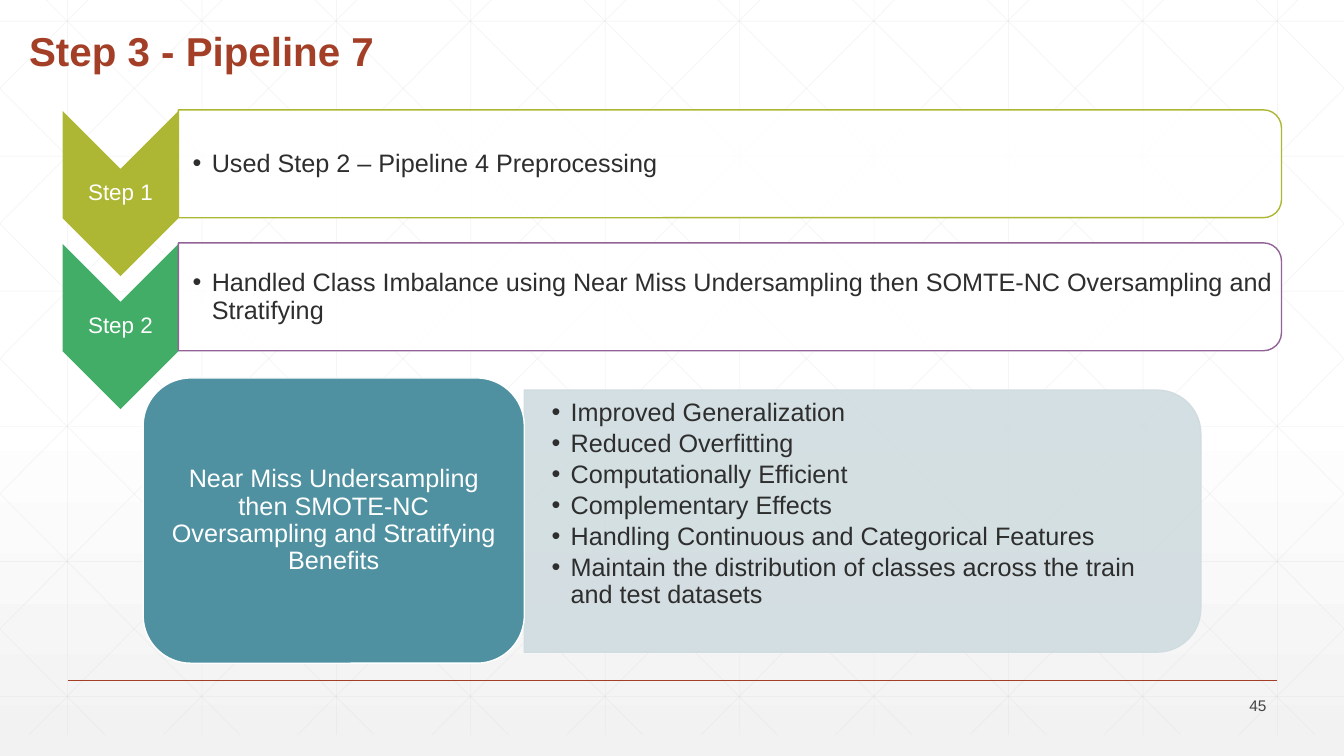
from dataclasses import dataclass
from typing import Any, NamedTuple, Optional

from lxml.etree import SubElement
from pptx import Presentation
from pptx.dml.color import RGBColor
from pptx.enum.shapes import MSO_CONNECTOR as Connector, MSO_SHAPE as Preset
from pptx.enum.text import MSO_ANCHOR as Anchor, PP_ALIGN as Align
from pptx.oxml.ns import qn
from pptx.util import Inches, Pt

WIDTH, HEIGHT = 13.33, 7.5
RUST, WHITE, INK, GREY = "A43F27", "FFFFFF", "2D2E2D", "424342"
MIST, TEAL, LATTICE = "D0DCE0", "4F91A1", "D9D9D9"


class Box(NamedTuple):
    left: float
    top: float
    width: float
    height: float


@dataclass
class TextStyle:
    size: float
    color: str
    align: Any = Align.LEFT
    anchor: Any = Anchor.MIDDLE
    insets: tuple[float, float] = (0.1, 0.05)
    line_spacing: float = 0.9
    space_after: float = 0
    bold: bool = False
    bullet: bool = False


@dataclass
class Step:
    label: str
    detail: str
    chevron: str
    outline: str


STEPS = [
    Step("Step 1", "Used Step 2 – Pipeline 4 Preprocessing", "AEB733", "AEB733"),
    Step("Step 2", "Handled Class Imbalance using Near Miss Undersampling then "
         "SOMTE-NC Oversampling and Stratifying", "42AD67", "926397"),
]
BENEFITS = [
    "Improved Generalization",
    "Reduced Overfitting",
    "Computationally Efficient",
    "Complementary Effects",
    "Handling Continuous and Categorical Features",
    "Maintain the distribution of classes across the train and test datasets",
]

TITLE = TextStyle(28.8, RUST, anchor=Anchor.BOTTOM, bold=True)
STEP_LABEL = TextStyle(16, WHITE, Align.CENTER, insets=(0.05, 0.03))
STEP_DETAIL = TextStyle(18, INK, insets=(0.14, 0.01), bullet=True)
BENEFIT_LIST = TextStyle(18, INK, insets=(0.27, 0.14), space_after=2.7, bullet=True)
BENEFIT_HEAD = TextStyle(18, WHITE, Align.CENTER, insets=(0.07, 0.04))
PAGE_NUMBER = TextStyle(11, GREY, Align.RIGHT, line_spacing=1)


def rgb(color: str) -> RGBColor:
    return RGBColor.from_string(color)


def apply(target: Any, values: dict[str, Any]) -> None:
    for name, value in values.items():
        setattr(target, name, value)


def set_opacity(element: Any, percent: int) -> None:
    for color in element.iter(qn("a:srgbClr")):
        SubElement(color, qn("a:alpha"), val=str(percent * 1000))


def write(frame: Any, lines: list[str], style: TextStyle,
          right: Optional[float] = None) -> None:
    side, edge = style.insets
    apply(frame, {
        "word_wrap": True, "vertical_anchor": style.anchor,
        "margin_left": Inches(side),
        "margin_right": Inches(side if right is None else right),
        "margin_top": Inches(edge), "margin_bottom": Inches(edge),
    })
    for index, line in enumerate(lines):
        paragraph = frame.add_paragraph() if index else frame.paragraphs[0]
        if style.bullet:
            properties = paragraph._p.get_or_add_pPr()
            apply_indent = {"marL": Inches(0.19), "indent": -Inches(0.19)}
            for name, value in apply_indent.items():
                properties.set(name, str(value))
            SubElement(properties, qn("a:buFont"), typeface="Arial")
            SubElement(properties, qn("a:buChar"), char="•")
        apply(paragraph, {"alignment": style.align, "line_spacing": style.line_spacing,
                          "space_after": Pt(style.space_after)})
        run = paragraph.add_run()
        run.text = line
        apply(run.font, {"name": "Arial", "size": Pt(style.size), "bold": style.bold})
        run.font.color.rgb = rgb(style.color)


def add_text(slide: Any, box: Box, lines: list[str], style: TextStyle,
             right: Optional[float] = None) -> None:
    frame = slide.shapes.add_textbox(*map(Inches, box)).text_frame
    write(frame, lines, style, right)


def add_block(slide: Any, preset: Any, box: Box, fill: str,
              outline: Optional[str] = None, opacity: int = 100) -> Any:
    block = slide.shapes.add_shape(preset, *map(Inches, box))
    block.shadow.inherit = False
    block.fill.solid()
    block.fill.fore_color.rgb = rgb(fill)
    if opacity < 100:
        set_opacity(block._element.spPr.find(qn("a:solidFill")), opacity)
    if outline:
        block.line.color.rgb = rgb(outline)
        block.line.width = Pt(1)
    else:
        block.line.fill.background()
    return block


def add_turned_block(slide: Any, preset: Any, box: Box, *look: Any) -> None:
    """Fill the given box with a preset turned a quarter clockwise."""
    shift = (box.width - box.height) / 2
    upright = Box(box.left + shift, box.top - shift, box.height, box.width)
    add_block(slide, preset, upright, *look).rotation = 90


def add_line(slide: Any, x1: float, y1: float, x2: float, y2: float,
             color: str, width: float, opacity: int = 100) -> None:
    line = slide.shapes.add_connector(Connector.STRAIGHT, *map(Inches, (x1, y1, x2, y2)))
    line.line.color.rgb = rgb(color)
    line.line.width = Pt(width)
    if opacity < 100:
        set_opacity(line._element.spPr, opacity)
    SubElement(line._element.spPr, qn("a:effectLst"))


def add_lattice(slide: Any) -> None:
    top, bottom, run = -0.21, 7.29, 7.46
    pitch = 4 / 3
    slope = (bottom - top) / run
    look = (LATTICE, 0.5, 25)
    for column in range(10):
        x = 0.67 + column * pitch
        add_line(slide, x, top, x, bottom, *look)
    for row in range(6):
        y = 0.21 + row * 1.34
        add_line(slide, 0, y, WIDTH, y, *look)
    # Diagonals are cut at the slide sides, then mirrored
    for column in range(-5, 10):
        start = 0.25 + column * pitch
        x1, x2 = max(start, 0), min(start + run, WIDTH)
        y1, y2 = (top + (x - start) * slope for x in (x1, x2))
        add_line(slide, x1, y1, x2, y2, *look)
        add_line(slide, WIDTH - x1, y1, WIDTH - x2, y2, *look)


def add_step(slide: Any, step: Step, top: float) -> None:
    add_turned_block(slide, Preset.CHEVRON, Box(0.62, top, 1.15, 1.64), step.chevron)
    add_text(slide, Box(0.62, top + 0.57, 1.15, 0.49), [step.label], STEP_LABEL)
    add_turned_block(slide, Preset.ROUND_2_SAME_RECTANGLE,
                     Box(1.77, top - 0.01, 10.94, 1.07), WHITE, step.outline, 90)
    add_text(slide, Box(1.77, top + 0.05, 10.89, 0.96), [step.detail], STEP_DETAIL, 0.01)


def main() -> None:
    presentation = Presentation()
    apply(presentation, {"slide_width": Inches(WIDTH), "slide_height": Inches(HEIGHT)})
    slide = presentation.slides.add_slide(presentation.slide_layouts[6])

    # Backdrop
    backdrop = slide.background.fill
    backdrop.gradient()
    backdrop.gradient_angle = 270
    for stop, position, color in zip(backdrop.gradient_stops, (0.53, 1), (WHITE, "F2F2F2")):
        stop.position = position
        stop.color.rgb = rgb(color)
    add_lattice(slide)
    add_line(slide, 0.67, 6.75, 12.67, 6.75, RUST, 1)

    # Title and steps
    add_text(slide, Box(0.19, 0.19, 10.5, 0.61), ["Step 3 - Pipeline 7"], TITLE)
    for index, step in enumerate(STEPS):
        add_step(slide, step, 1.1 + index * 1.32)

    # Benefits
    add_turned_block(slide, Preset.ROUND_2_SAME_RECTANGLE,
                     Box(5.2, 3.87, 6.71, 2.6), MIST, MIST, 90)
    add_text(slide, Box(5.2, 3.83, 6.59, 2.35), BENEFITS, BENEFIT_LIST)
    heading = add_block(slide, Preset.ROUNDED_RECTANGLE,
                        Box(1.42, 3.75, 3.78, 2.83), TEAL, WHITE)
    write(heading.text_frame, ["Near Miss Undersampling then SMOTE-NC Oversampling "
                               "and Stratifying Benefits"], BENEFIT_HEAD)

    # Page number
    add_text(slide, Box(11.66, 6.88, 1, 0.24), ["45"], PAGE_NUMBER)
    presentation.save("out.pptx")


if __name__ == "__main__":
    main()
